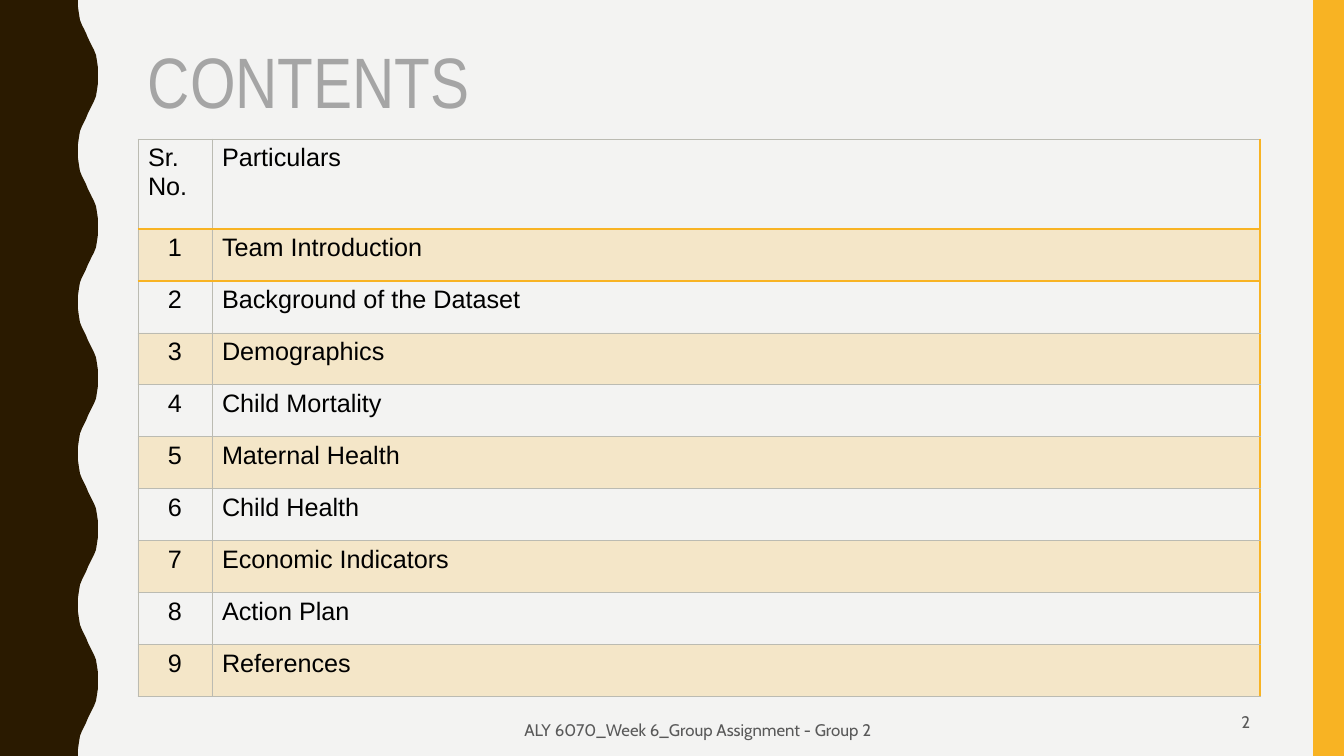
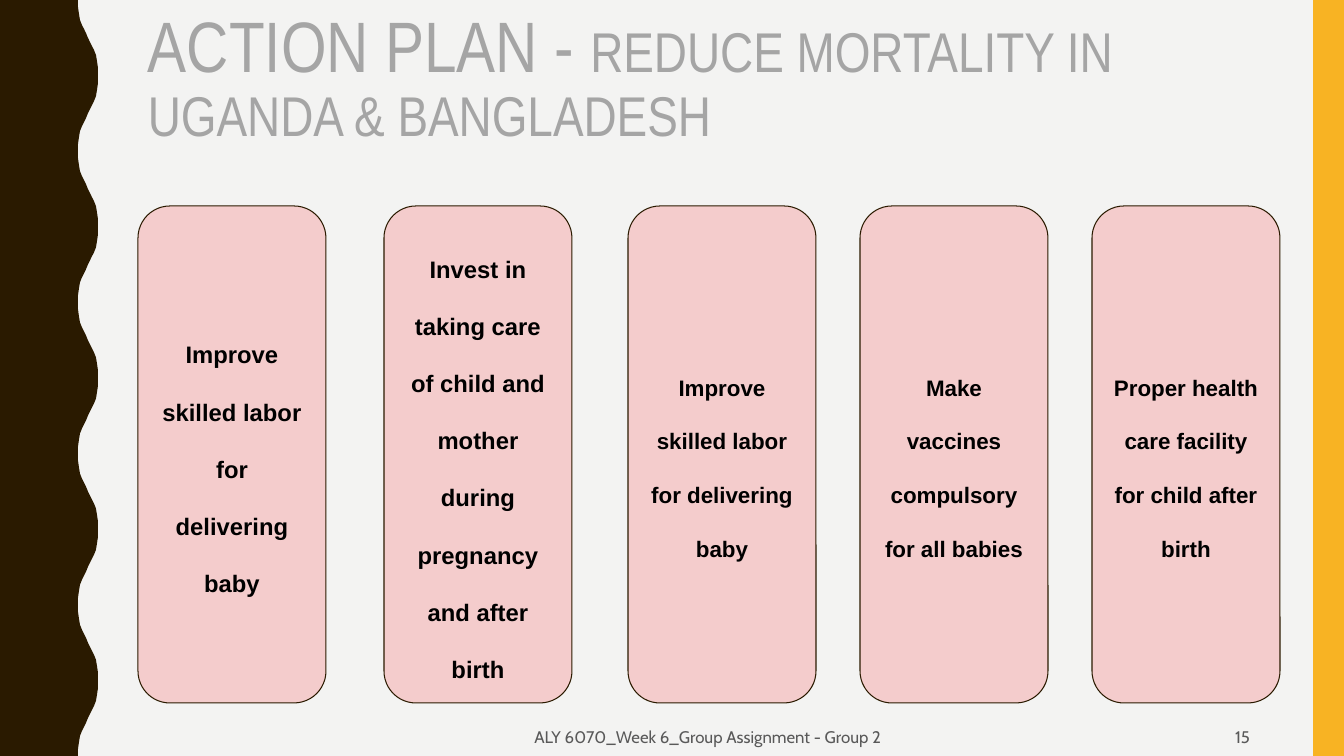
from dataclasses import dataclass

from lxml.etree import SubElement
from pptx import Presentation
from pptx.dml.color import RGBColor
from pptx.enum.shapes import MSO_SHAPE as Shape
from pptx.enum.text import MSO_ANCHOR as Anchor, PP_ALIGN as Align
from pptx.oxml.ns import qn
from pptx.util import Emu, Pt


@dataclass(frozen=True)
class Theme:
    background: str = "F3F3F2"
    brown: str = "2A1A00"
    gold: str = "F8B323"
    pink: str = "F4CCCC"
    rule: str = "BBBBB2"
    title: str = "A5A5A5"
    footer: str = "595959"
    text: str = "000000"
    title_font: str = "Arial Narrow"
    body_font: str = "Arial"
    footer_font: str = "Cabin"
    title_size: int = 51
    subtitle_size: int = 40
    table_size: int = 18
    footer_size: int = 12


theme = Theme()
SLIDE_WIDTH, SLIDE_HEIGHT = 1344, 756
SCALE = 12192000 / SLIDE_WIDTH


def px(*lengths):
    return [Emu(round(length * SCALE)) for length in lengths]


def write(frame, paragraphs, font, color, align=Align.LEFT, spacing=1.0, bold=False):
    frame.word_wrap = True
    for index, runs in enumerate(paragraphs):
        paragraph = frame.paragraphs[0] if index == 0 else frame.add_paragraph()
        for name, value in {"alignment": align, "line_spacing": spacing}.items():
            setattr(paragraph, name, value)
        for text, size in runs:
            run = paragraph.add_run()
            run.text = text
            for name, value in {"name": font, "size": Pt(size), "bold": bold}.items():
                setattr(run.font, name, value)
            run.font.color.rgb = RGBColor.from_string(color)


presentation = Presentation()
presentation.slide_width, presentation.slide_height = px(SLIDE_WIDTH, SLIDE_HEIGHT)
slides = []

wave_count = 5
wave_height = SLIDE_HEIGHT / wave_count
half_wave = [
    (78, 0), (78, 7), (79, 14), (80, 20), (82, 25), (84, 29), (86, 33), (88, 38),
    (90, 42), (92, 46), (94, 50), (96, 55), (97, 61), (98, 68), (98, 75),
]
wave = half_wave + [(x, wave_height - y) for x, y in reversed(half_wave)]
edge = [px(x, y + index * wave_height) for index in range(wave_count) for x, y in wave]

footer_text = "ALY 6070_Week 6_Group Assignment - Group 2"
pages = [
    ([("CONTENTS", theme.title_size)], 42, "2", (427, 703, 542, 53), (950, 703, 310, 38)),
    (
        [
            ("ACTION PLAN - ", theme.title_size),
            ("REDUCE MORTALITY IN UGANDA & BANGLADESH", theme.subtitle_size),
        ],
        6, "15", (446, 718, 524, 38), (950, 718, 310, 38),
    ),
]

for title_runs, title_top, number, footer_box, number_box in pages:
    slide = presentation.slides.add_slide(presentation.slide_layouts[6])
    slides.append(slide)
    slide.background.fill.solid()
    slide.background.fill.fore_color.rgb = RGBColor.from_string(theme.background)

    builder = slide.shapes.build_freeform(0, 0)
    builder.add_line_segments(edge + [px(0, SLIDE_HEIGHT)])
    wave_band = builder.convert_to_shape()
    gold_band = slide.shapes.add_shape(Shape.RECTANGLE, *px(1313, 0, 31, SLIDE_HEIGHT))
    for band, color in ((wave_band, theme.brown), (gold_band, theme.gold)):
        band.shadow.inherit = False
        band.fill.solid()
        band.fill.fore_color.rgb = RGBColor.from_string(color)
        band.line.fill.background()

    title = slide.shapes.add_textbox(*px(138, title_top, 1122, 164))
    write(title.text_frame, [title_runs], theme.title_font, theme.title, spacing=0.9)
    for text, box, align in (
        (footer_text, footer_box, Align.CENTER),
        (number, number_box, Align.RIGHT),
    ):
        shape = slide.shapes.add_textbox(*px(*box))
        shape.text_frame.vertical_anchor = Anchor.MIDDLE
        write(shape.text_frame, [[(text, theme.footer_size)]],
              theme.footer_font, theme.footer, align)

contents_slide, action_slide = slides

topics = [
    "Team Introduction", "Background of the Dataset", "Demographics",
    "Child Mortality", "Maternal Health", "Child Health",
    "Economic Indicators", "Action Plan", "References",
]
rows = [("Sr. No.", "Particulars")]
rows += [(str(index), topic) for index, topic in enumerate(topics, 1)]
table = contents_slide.shapes.add_table(len(rows), 2, *px(138, 139, 1122, 558)).table
for name in ("first_row", "horz_banding"):
    setattr(table, name, False)
for column, width in zip(table.columns, px(74, 1048)):
    column.width = width
for row, height in zip(table.rows, px(90, *[52] * len(topics))):
    row.height = height

thin, strong = (theme.rule, 0.75), (theme.gold, 1.5)
for row_index, values in enumerate(rows):
    for column_index, value in enumerate(values):
        cell = table.cell(row_index, column_index)
        centred = row_index > 0 and column_index == 0
        write(cell.text_frame, [[(value, theme.table_size)]], theme.body_font,
              theme.text, Align.CENTER if centred else Align.LEFT)
        properties = cell._tc.get_or_add_tcPr()
        borders = {
            "a:lnL": thin,
            "a:lnR": strong if column_index == 1 else thin,
            "a:lnT": strong if row_index in (1, 2) else thin,
            "a:lnB": strong if row_index in (0, 1) else thin,
        }
        for tag, (color, width) in borders.items():
            border = SubElement(properties, qn(tag), w=str(Pt(width)))
            fill = SubElement(border, qn("a:solidFill"))
            SubElement(fill, qn("a:srgbClr"), val=color)
        if row_index % 2:
            cell.fill.solid()
            cell.fill.fore_color.rgb = RGBColor.from_string(theme.gold)
            tint = properties.find(qn("a:solidFill")).find(qn("a:srgbClr"))
            SubElement(tint, qn("a:alpha"), val="20000")
        else:
            cell.fill.background()

actions = [
    (138, 17, ["Improve skilled labor for delivering baby"]),
    (384, 17, ["Invest in taking care of child and mother during pregnancy and after birth"]),
    (628, 16, ["Improve skilled labor for delivering baby"]),
    (860, 16, ["Make vaccines", "compulsory for all babies"]),
    (1092, 16, ["Proper health care facility for child after birth"]),
]
for left, size, lines in actions:
    card = action_slide.shapes.add_shape(Shape.ROUNDED_RECTANGLE, *px(left, 206, 188, 497))
    card.shadow.inherit = False
    card.adjustments[0] = 0.17
    card.fill.solid()
    card.fill.fore_color.rgb = RGBColor.from_string(theme.pink)
    card.line.color.rgb = RGBColor.from_string(theme.brown)
    card.line.width = Pt(0.75)
    frame = card.text_frame
    frame.vertical_anchor = Anchor.MIDDLE
    for side in ("left", "top", "right", "bottom"):
        setattr(frame, f"margin_{side}", px(10)[0])
    write(frame, [[(line, size)] for line in lines], theme.body_font, theme.text,
          Align.CENTER, spacing=2.0, bold=True)

presentation.save("out.pptx")
